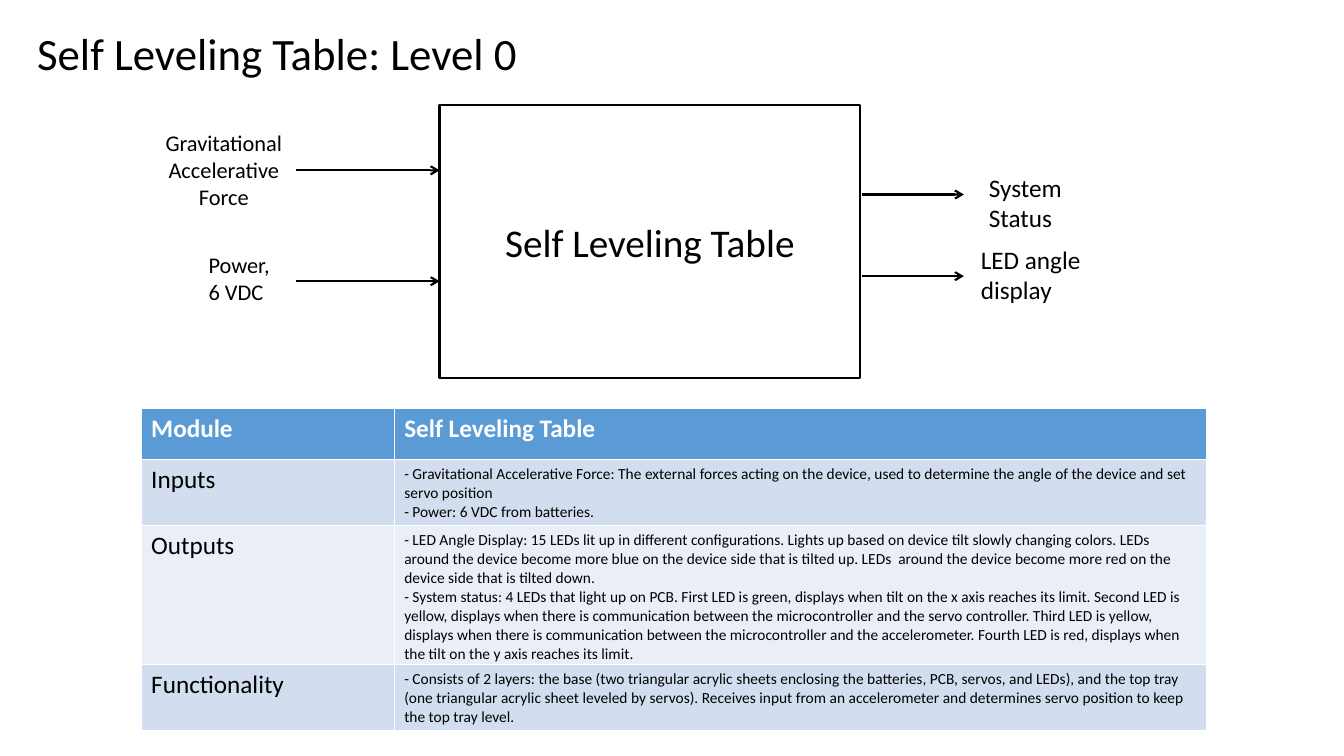
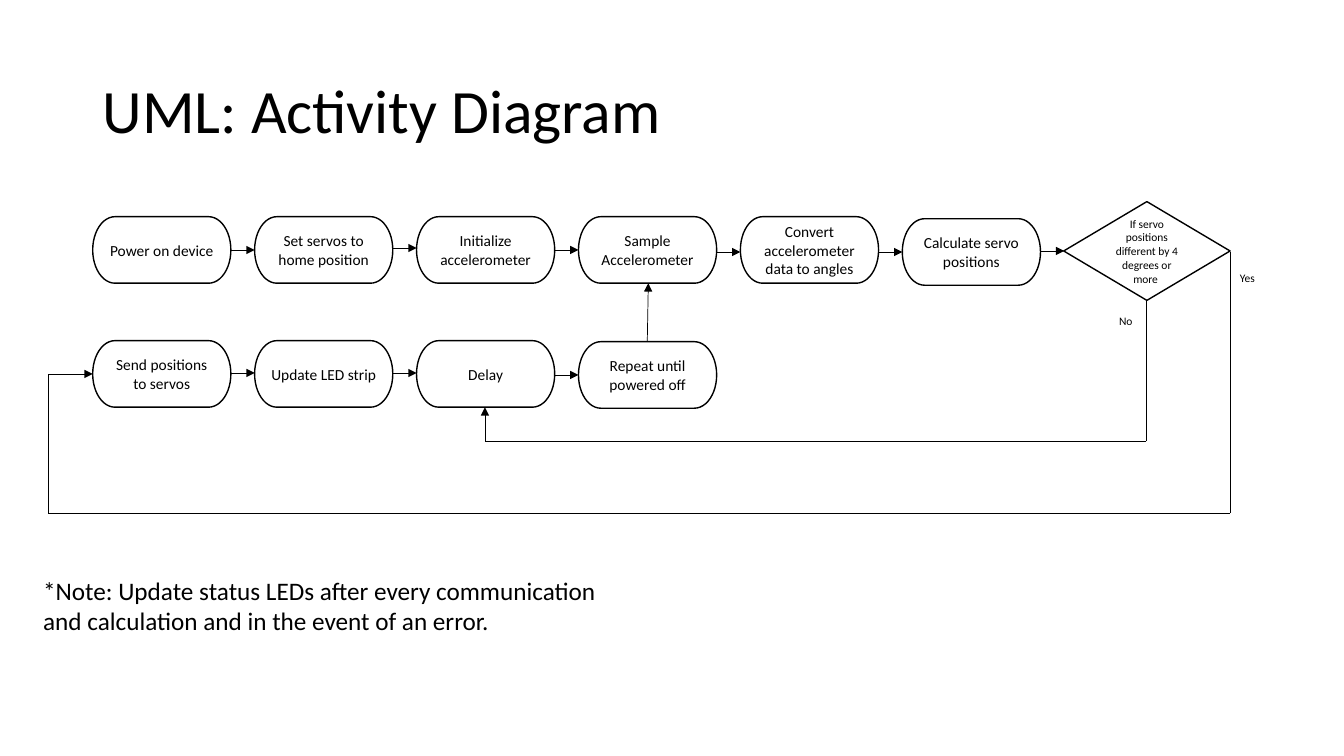
"""Build two slides: a level 0 block diagram with its table, and a UML activity diagram."""
from lxml.etree import SubElement
from pptx import Presentation
from pptx.dml.color import RGBColor
from pptx.enum.shapes import MSO_CONNECTOR as CONNECTOR, MSO_SHAPE as SHAPE
from pptx.enum.text import MSO_ANCHOR as ANCHOR, MSO_AUTO_SIZE as AUTO_SIZE, PP_ALIGN as ALIGN
from pptx.oxml.ns import qn
from pptx.util import Inches, Pt

COLORS = {"ink": "000000", "paper": "FFFFFF", "header": "5B9BD5", "odd": "D2DEEF", "even": "EAEFF7"}
COLORS = {name: RGBColor.from_string(value) for name, value in COLORS.items()}


def write(frame, text, size, align=ALIGN.LEFT, color="ink", bold=False, **frame_format):
    frame.text = text
    for name, value in frame_format.items():
        setattr(frame, name, value)
    font_format = {"size": Pt(size), "name": "Calibri", "bold": bold}
    for paragraph in frame.paragraphs:
        paragraph.alignment = align
        for run in paragraph.runs:
            run.font.color.rgb = COLORS[color]
            for name, value in font_format.items():
                setattr(run.font, name, value)


def connect(slide, points, weight, head):
    for start, end in zip(points, points[1:]):
        line = slide.shapes.add_connector(CONNECTOR.STRAIGHT, *map(Inches, start + end))
        line.line.color.rgb = COLORS["ink"]
        line.line.width = Pt(weight)
        properties = line._element.spPr
        if end == points[-1]:
            SubElement(properties.find(qn("a:ln")), qn("a:tailEnd"), type=head)
        SubElement(properties, qn("a:effectLst"))


presentation = Presentation()
presentation.slide_width, presentation.slide_height = Inches(13.33), Inches(7.5)
level_slide, activity_slide = [
    presentation.slides.add_slide(presentation.slide_layouts[6]) for _ in range(2)
]

labels = [
    (level_slide, (0.27, 0.21, 5.11, 0.64), "Self Leveling Table: Level 0", 32, ALIGN.LEFT, False),
    (level_slide, (1.52, 1.23, 1.4, 0.91), "Gravitational Accelerative Force", 16, ALIGN.CENTER, True),
    (level_slide, (1.97, 2.44, 0.82, 0.64), "Power,\n6 VDC", 16, ALIGN.LEFT, False),
    (level_slide, (9.71, 1.66, 1.08, 0.71), "System Status", 18, ALIGN.LEFT, True),
    (level_slide, (9.63, 2.37, 1.4, 0.71), "LED angle \vdisplay ", 18, ALIGN.LEFT, True),
    (activity_slide, (0.33, 5.66, 5.9, 0.71),
     "*Note: Update status LEDs after every communication and calculation and in the event of an error.",
     18, ALIGN.LEFT, True),
    (activity_slide, (12.2, 2.64, 0.38, 0.24), "Yes", 8.2, ALIGN.LEFT, True),
    (activity_slide, (11, 3.07, 0.38, 0.24), "No", 8.2, ALIGN.LEFT, True),
]
for slide, place, text, size, align, wrap in labels:
    box = slide.shapes.add_textbox(*map(Inches, place))
    write(box.text_frame, text, size, align, word_wrap=wrap, auto_size=AUTO_SIZE.SHAPE_TO_FIT_TEXT)

title = activity_slide.shapes.add_textbox(*map(Inches, (0.92, 0.4, 11.5, 1.45)))
write(title.text_frame, "UML: Activity Diagram", 44, word_wrap=True, vertical_anchor=ANCHOR.MIDDLE)
title.text_frame.paragraphs[0].line_spacing = 0.9

COLUMN, FIRST_LEFT = 1.606, 0.92
STEP_WIDTH, STEP_HEIGHT = 1.37, 0.66
step_rows = [
    [("Power on device", 2.15), ("Set servos to home position", 2.15),
     ("Initialize accelerometer", 2.15), ("Sample Accelerometer", 2.15),
     ("Convert accelerometer data to angles", 2.15), ("Calculate servo positions", 2.17)],
    [("Send positions to servos", 3.38), ("Update LED strip", 3.38),
     ("Delay", 3.38), ("Repeat until powered off", 3.39)],
]
nodes = [
    (level_slide, SHAPE.RECTANGLE, (4.36, 1.04, 4.17, 2.71), "Self Leveling Table", 28, 1.5),
    (activity_slide, SHAPE.DIAMOND, (10.55, 2, 1.65, 0.98),
     "If servo positions different by 4 degrees or more ", 8.2, 1),
]
for steps in step_rows:
    for column, (text, top) in enumerate(steps):
        place = (FIRST_LEFT + column * COLUMN, top, STEP_WIDTH, STEP_HEIGHT)
        nodes.append((activity_slide, SHAPE.FLOWCHART_TERMINATOR, place, text, 11, 1))
for slide, kind, place, text, size, weight in nodes:
    shape = slide.shapes.add_shape(kind, *map(Inches, place))
    shape.shadow.inherit = False
    shape.line.color.rgb = COLORS["ink"]
    shape.line.width = Pt(weight)
    margins = {}
    if kind == SHAPE.DIAMOND:
        shape.fill.background()
        margins = {"margin_left": Inches(0.07), "margin_right": Inches(0.07),
                   "margin_top": Inches(0.04), "margin_bottom": Inches(0.04)}
    else:
        shape.fill.solid()
        shape.fill.fore_color.rgb = COLORS["paper"]
    write(shape.text_frame, text, size, ALIGN.CENTER,
          word_wrap=True, vertical_anchor=ANCHOR.MIDDLE, **margins)

for left, right, heights in [(2.94, 4.36, (1.69, 2.79)), (8.55, 9.56, (1.93, 2.74))]:
    for height in heights:
        connect(level_slide, [(left, height), (right, height)], 1.5, "arrow")

for heights in [(2.48, 2.46, 2.48, 2.5, 2.5, 2.49), (3.7, 3.7, 3.72)]:
    for column, height in enumerate(heights):
        left = FIRST_LEFT + STEP_WIDTH + column * COLUMN
        right = FIRST_LEFT + (column + 1) * COLUMN
        connect(activity_slide, [(left, height), (right, height)], 0.5, "triangle")
yes_route = [(12.2, 2.5), (12.2, 5.09), (0.48, 5.09), (0.48, 3.71), (0.92, 3.71)]
no_route = [(11.37, 2.98), (11.37, 4.38), (4.81, 4.38), (4.81, 4.04)]
repeat_route = [(6.42, 3.39), (6.43, 2.81)]
for route in (yes_route, no_route, repeat_route):
    connect(activity_slide, route, 0.5, "triangle")

module_rows = [
    ("Module", "Self Leveling Table", 0.51, "header"),
    ("Inputs",
     "- Gravitational Accelerative Force: The external forces acting on the device, used to determine "
     "the angle of the device and set servo position\n"
     "- Power: 6 VDC from batteries.", 0.65, "odd"),
    ("Outputs",
     "- LED Angle Display: 15 LEDs lit up in different configurations. Lights up based on device tilt "
     "slowly changing colors. LEDs around the device become more blue on the device side that is "
     "tilted up. LEDs  around the device become more red on the device side that is tilted down.\n"
     "- System status: 4 LEDs that light up on PCB. First LED is green, displays when tilt on the x "
     "axis reaches its limit. Second LED is yellow, displays when there is communication between the "
     "microcontroller and the servo controller. Third LED is yellow, displays when there is "
     "communication between the microcontroller and the accelerometer. Fourth LED is red, displays "
     "when the tilt on the y axis reaches its limit.", 1.38, "even"),
    ("Functionality",
     "- Consists of 2 layers: the base (two triangular acrylic sheets enclosing the batteries, PCB, "
     "servos, and LEDs), and the top tray (one triangular acrylic sheet leveled by servos). Receives "
     "input from an accelerometer and determines servo position to keep the top tray level.",
     0.65, "odd"),
]
table = level_slide.shapes.add_table(4, 2, *map(Inches, (1.4, 4.05, 10.57, 3.19))).table
for column, width in zip(table.columns, (2.51, 8.06)):
    column.width = Inches(width)
for row, (name, details, height, fill) in zip(table.rows, module_rows):
    row.height = Inches(height)
    is_header = fill == "header"
    for cell, text, size in zip(row.cells, (name, details), (18, 18 if is_header else 11)):
        cell.fill.solid()
        cell.fill.fore_color.rgb = COLORS[fill]
        write(cell.text_frame, text, size, color="paper" if is_header else "ink", bold=is_header)

presentation.save("out.pptx")
